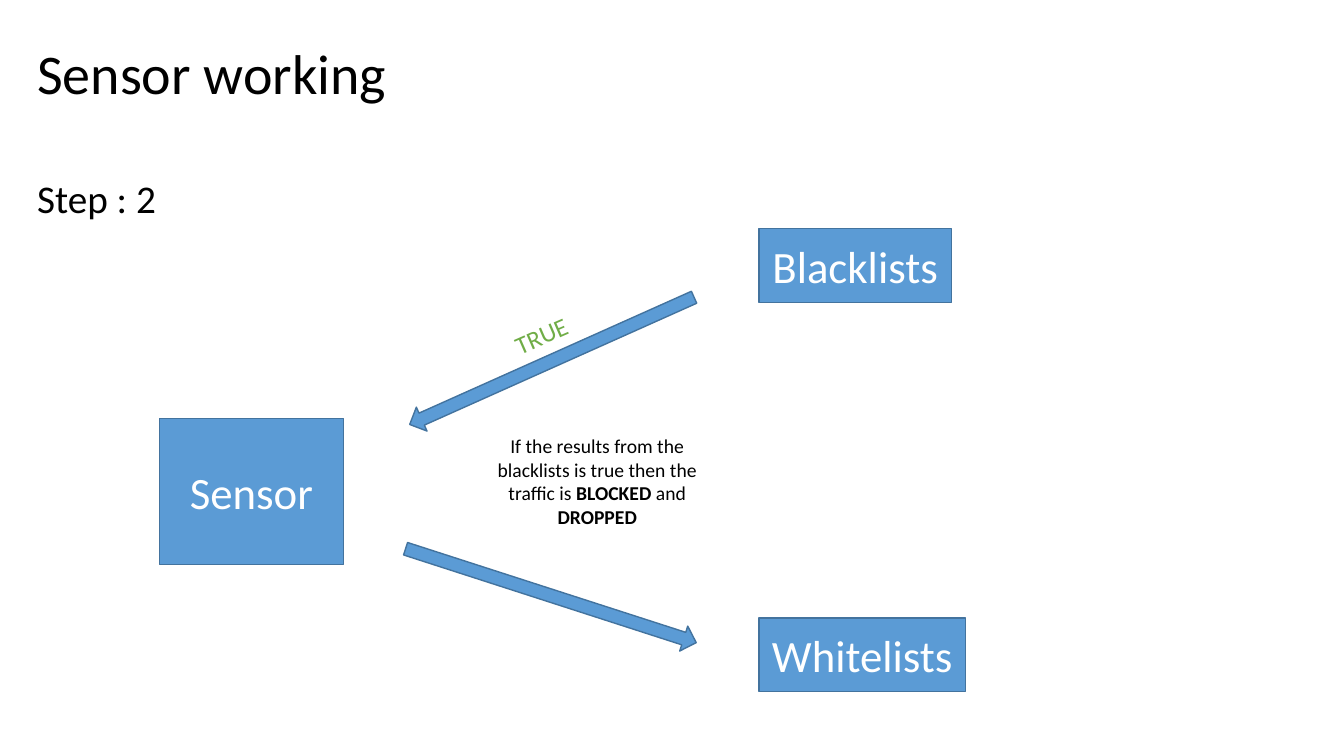
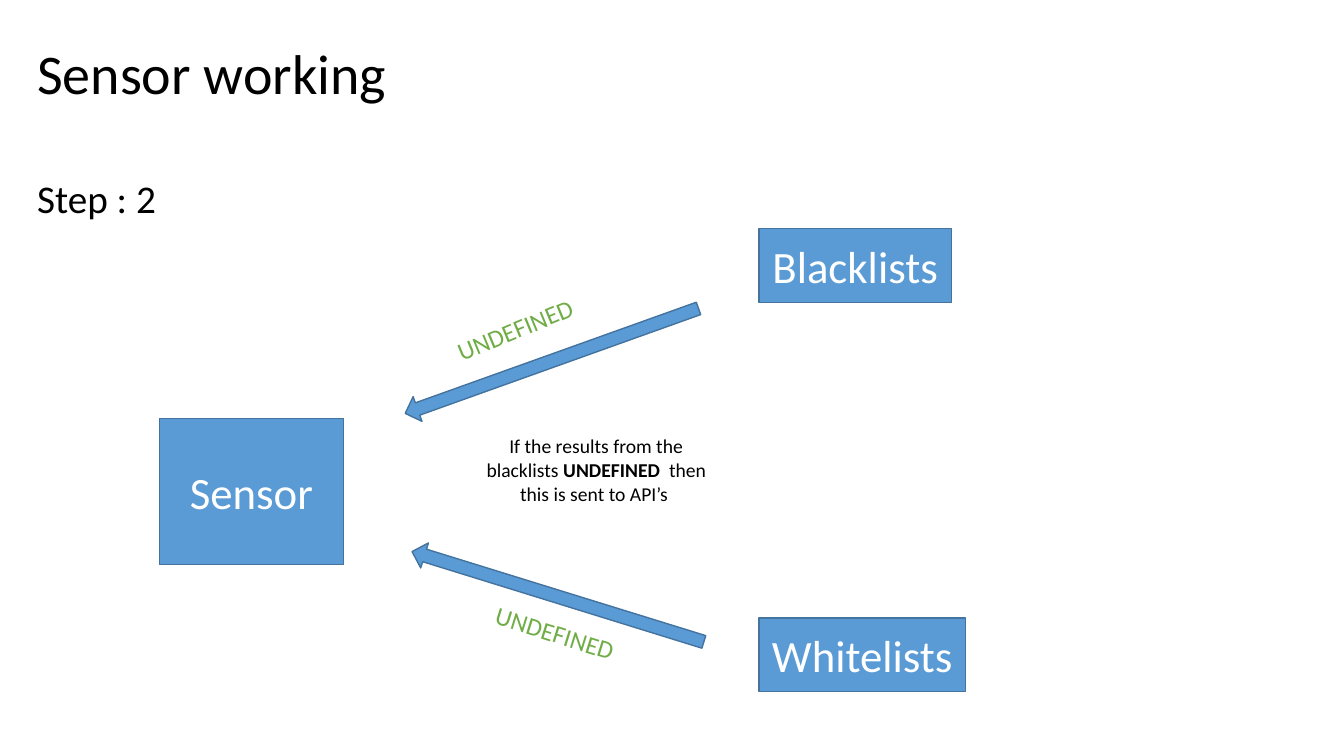
from pptx import Presentation
from pptx.dml.color import RGBColor
from pptx.enum.shapes import MSO_SHAPE
from pptx.enum.text import MSO_ANCHOR, PP_ALIGN
from pptx.util import Inches, Pt

HUES = {"fill": "5B9BD5", "edge": "43739E", "ink": "000000",
        "pale": "FFFFFF", "leaf": "70AD47"}
CELL = 0.1
COLS, ROWS = 133.33, 75
HEAD = (2.7, 3.3)
FLOW = (15.8, 22.7)
STYLES = {
    "title": {"size": Pt(40), "hue": "ink", "align": PP_ALIGN.LEFT},
    "step": {"size": Pt(28), "hue": "ink", "align": PP_ALIGN.LEFT},
    "node": {"size": Pt(32), "hue": "pale", "align": PP_ALIGN.CENTER},
    "note": {"size": Pt(14), "hue": "ink", "align": PP_ALIGN.CENTER},
    "label": {"size": Pt(18), "hue": "leaf", "align": PP_ALIGN.LEFT},
}
NODES = [
    ("Sensor", (0, 18.8, 18.3, 14.5)),
    ("Whitelists", (59.5, 38.6, 20.5, 7.3)),
    ("Blacklists", (59.5, 0, 19.1, 7.3)),
]
SLIDES = [
    {
        "arrows": [((23.5, 11.8, 30.9, 2.6), 155.9),
                   ((23.7, 35.1, 30.3, 2.6), 17.9)],
        "note": [("If the results from the blacklists is true then the traffic is ", False),
                 ("BLOCKED", True), (" and ", False), ("DROPPED", True)],
        "area": (30.2, 19.9, 26.5, 10.4),
        "labels": [("TRUE", (34.1, 8.1, 9.7, 4), 336.4)],
    },
    {
        "arrows": [((23.5, 11.8, 30.9, 2.6), 160.3),
                   ((24.4, 35.2, 30.3, 2.6), 197.2)],
        "note": [("If the results from the blacklists ", False),
                 ("UNDEFINED ", True), (" then this is sent to API’s ", False)],
        "area": (30.1, 19.9, 26.5, 8.1),
        "labels": [("UNDEFINED", (32.2, 38.2, 15, 4), 17.4),
                   ("UNDEFINED", (28.2, 7.8, 15, 4), 337.5)],
    },
]


def color(name):
    """Return the named colour."""
    return RGBColor.from_string(HUES[name])


def place(base, area):
    """Turn grid cells relative to a base corner into slide lengths."""
    left, top, wide, high = area
    cells = (base[0] + left, base[1] + top, wide, high)
    return [Inches(cell * CELL) for cell in cells]


def write(shape, runs, kind, anchor=MSO_ANCHOR.TOP):
    """Fill a shape with runs of text in one style."""
    style = STYLES[kind]
    frame = shape.text_frame
    for key, value in {"word_wrap": True, "vertical_anchor": anchor}.items():
        setattr(frame, key, value)
    line = frame.paragraphs[0]
    line.alignment = style["align"]
    for text, bold in runs:
        run = line.add_run()
        run.text = text
        look = {"name": "Calibri", "size": style["size"], "bold": bold}
        for key, value in look.items():
            setattr(run.font, key, value)
        run.font.color.rgb = color(style["hue"])


def label(slide, base, area, runs, kind, turn=0):
    """Add a text box, turned if asked."""
    box = slide.shapes.add_textbox(*place(base, area))
    box.rotation = turn
    write(box, runs, kind)


def block(slide, base, area, form, turn=0):
    """Add a blue outlined shape and return it."""
    shape = slide.shapes.add_shape(form, *place(base, area))
    shape.rotation = turn
    shape.shadow.inherit = False
    shape.fill.solid()
    shape.fill.fore_color.rgb = color("fill")
    shape.line.color.rgb = color("edge")
    shape.line.width = Pt(1)
    return shape


def header(slide, base):
    """Write the title and the step below it."""
    label(slide, base, (0, 0, 121.2, 7.7), [("Sensor working", False)], "title")
    label(slide, base, (0, 13.5, 26.1, 5.7), [("Step : 2", False)], "step")


def flow(slide, base, data):
    """Draw the sensor, both lists, the arrows and their texts."""
    for text, area in NODES:
        node = block(slide, base, area, MSO_SHAPE.RECTANGLE)
        write(node, [(text, False)], "node", MSO_ANCHOR.MIDDLE)
    for area, turn in data["arrows"]:
        block(slide, base, area, MSO_SHAPE.RIGHT_ARROW, turn)
    label(slide, base, data["area"], data["note"], "note")
    for text, area, turn in data["labels"]:
        label(slide, base, area, [(text, False)], "label", turn)


def main():
    """Build and save the slides."""
    deck = Presentation()
    deck.slide_width = Inches(COLS * CELL)
    deck.slide_height = Inches(ROWS * CELL)
    for data in SLIDES:
        slide = deck.slides.add_slide(deck.slide_layouts[6])
        header(slide, HEAD)
        flow(slide, FLOW, data)
    deck.save("out.pptx")


if __name__ == "__main__":
    main()
